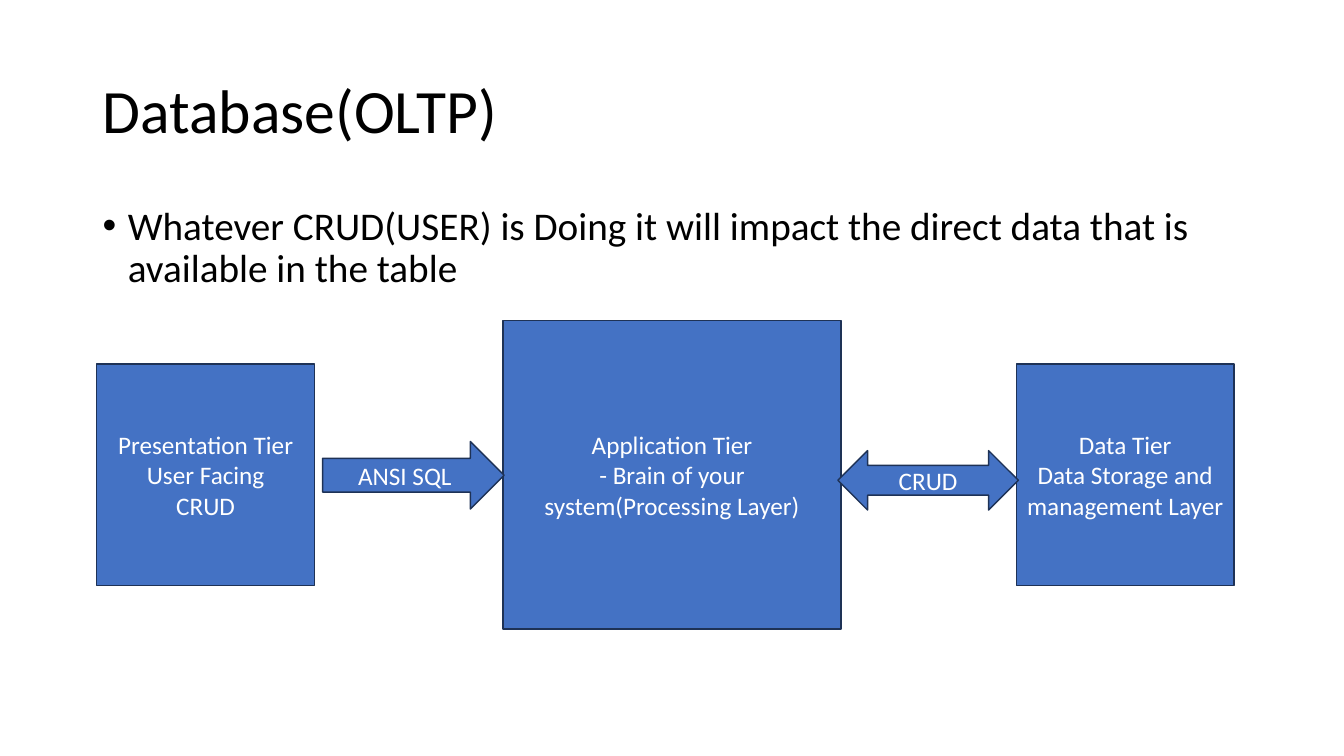
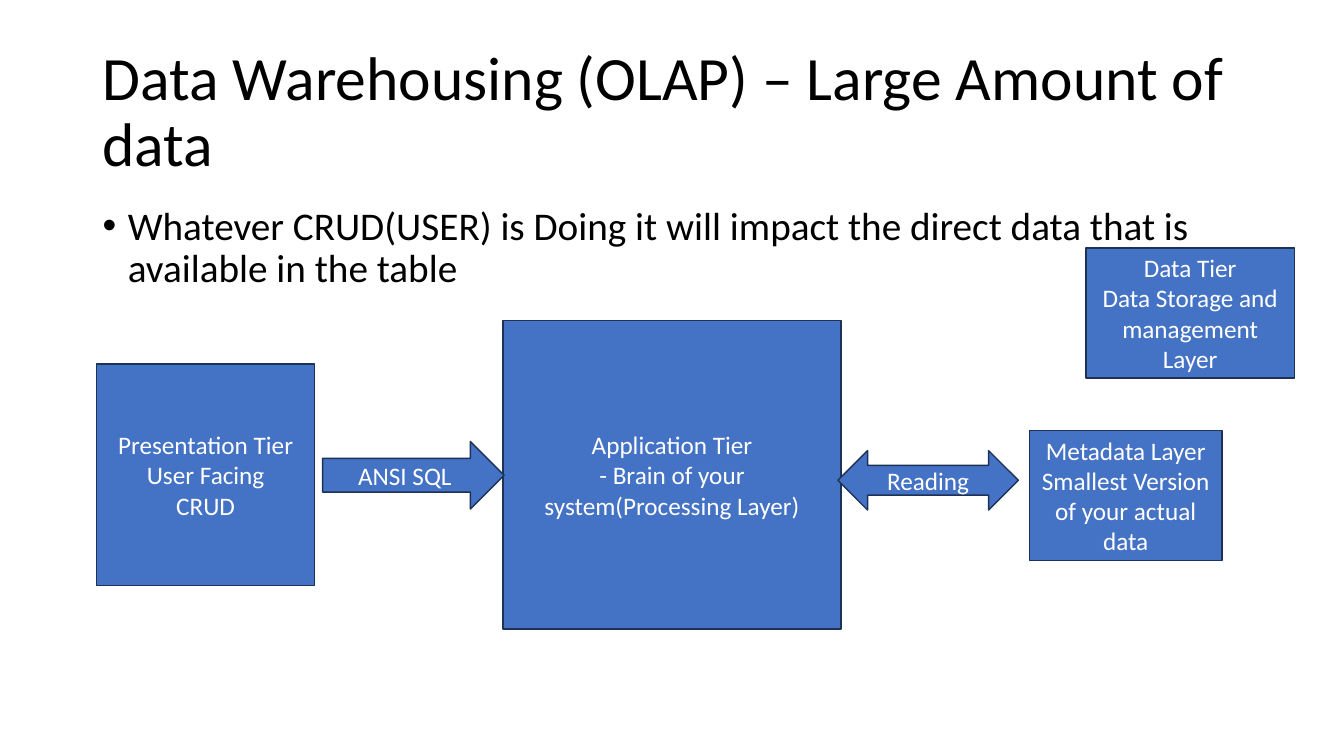
from lxml.etree import SubElement
from pptx import Presentation
from pptx.dml.color import RGBColor
from pptx.enum.shapes import MSO_SHAPE as Shape
from pptx.enum.text import MSO_ANCHOR as Anchor, PP_ALIGN as Align
from pptx.oxml.ns import qn
from pptx.util import Inches, Pt

COLORS = {"text": "000000", "fill": "4472C4", "line": "1E3256", "label": "FFFFFF"}
FONT = "Calibri"
MARGIN, CONTENT_WIDTH = 0.92, 11.5
BULLET_INDENT = 0.25
STATEMENT = ("Whatever CRUD(USER) is Doing it will impact the direct data "
             "that is available in the table")
DATA_TIER = ["Data Tier", "Data Storage and management Layer"]


def color(name):
    return RGBColor.from_string(COLORS[name])


def write(frame, lines, *, size, ink, align=Align.LEFT, anchor=Anchor.TOP, spacing=1.0):
    """Fill a text frame with one paragraph per line."""
    frame.word_wrap = True
    frame.vertical_anchor = anchor
    for index, line in enumerate(lines):
        para = frame.add_paragraph() if index else frame.paragraphs[0]
        para.alignment = align
        para.line_spacing = spacing
        span = para.add_run()
        span.text = line
        span.font.name = FONT
        span.font.size = Pt(size)
        span.font.color.rgb = color(ink)


def add_text(page, text, top, height, **style):
    box = page.shapes.add_textbox(Inches(MARGIN), Inches(top),
                                  Inches(CONTENT_WIDTH), Inches(height))
    write(box.text_frame, [text], ink="text", spacing=0.9, **style)
    return box.text_frame.paragraphs[0]


def add_bullet(para):
    para.space_before = Pt(10)
    properties = para._p.get_or_add_pPr()
    properties.set("marL", str(Inches(BULLET_INDENT)))
    properties.set("indent", str(-Inches(BULLET_INDENT)))
    SubElement(properties, qn("a:buFont")).set("typeface", "Arial")
    SubElement(properties, qn("a:buChar")).set("char", "•")


def add_block(page, lines, left, top, width, height, kind=Shape.RECTANGLE):
    block = page.shapes.add_shape(kind, Inches(left), Inches(top),
                                  Inches(width), Inches(height))
    block.shadow.inherit = False
    block.fill.solid()
    block.fill.fore_color.rgb = color("fill")
    block.line.color.rgb = color("line")
    block.line.width = Pt(1)
    write(block.text_frame, lines, size=18, ink="label",
          align=Align.CENTER, anchor=Anchor.MIDDLE)


def add_tier_page(deck, title, exchange, storage_blocks):
    """Add a page with the shared tiers, the data exchange label and storage blocks."""
    page = deck.slides.add_slide(deck.slide_layouts[6])
    add_text(page, title, 0.4, 1.45, size=44, anchor=Anchor.MIDDLE)
    add_bullet(add_text(page, STATEMENT, 2, 4.76, size=28))
    add_block(page, ["Presentation Tier", "User Facing", "CRUD"], 0.96, 3.61, 2.16, 2.2)
    add_block(page, ["Application Tier", "- Brain of your system(Processing Layer)"],
              4.99, 3.18, 3.35, 3.06)
    for lines, *place in storage_blocks:
        add_block(page, lines, *place)
    add_block(page, ["ANSI SQL"], 3.2, 4.38, 1.8, 0.67, Shape.RIGHT_ARROW)
    add_block(page, [exchange], 8.31, 4.47, 1.79, 0.59, Shape.LEFT_RIGHT_ARROW)


def main():
    deck = Presentation()
    deck.slide_width, deck.slide_height = Inches(13.33), Inches(7.5)
    add_tier_page(deck, "Database(OLTP)", "CRUD",
                  [(DATA_TIER, 10.08, 3.61, 2.16, 2.2)])
    metadata = ["Metadata Layer", "Smallest Version of your actual data"]
    add_tier_page(deck, "Data Warehousing (OLAP) – Large Amount of data", "Reading",
                  [(DATA_TIER, 10.77, 2.46, 2.07, 1.29),
                   (metadata, 10.21, 4.27, 1.91, 1.29)])
    deck.save("out.pptx")


if __name__ == "__main__":
    main()
